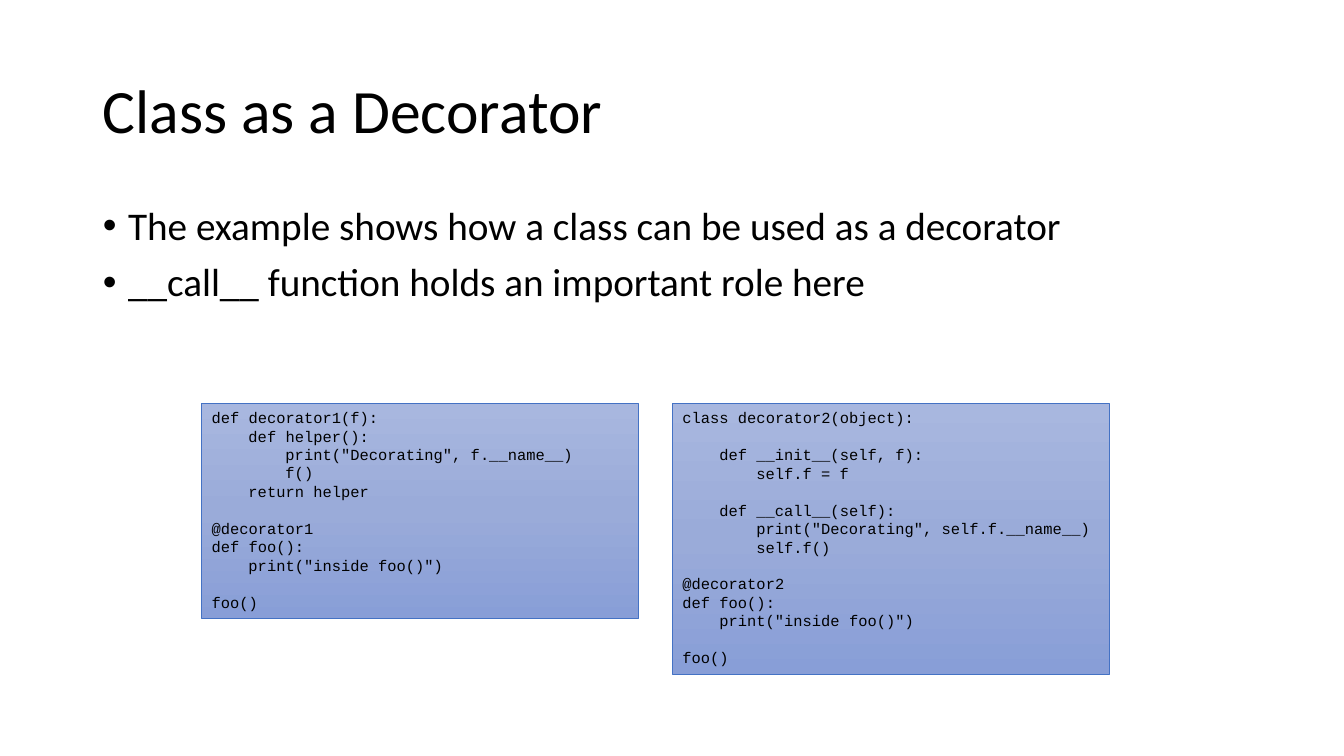
from copy import deepcopy

from pptx import Presentation
from pptx.dml.color import RGBColor
from pptx.enum.shapes import MSO_SHAPE
from pptx.enum.text import MSO_ANCHOR, MSO_AUTO_SIZE, PP_ALIGN
from pptx.util import Inches, Pt

BLACK = "000000"
PANEL_EDGE = "4472C4"
PANEL_GRADIENT = [(0, "A8B7DF"), (0.5, "9AABD9"), (1, "889ED7")]
CODE_SIZE = 11
CODE_LINE = 13.2  # points per line of code
CODE_INDENT = 0.6 * CODE_SIZE  # points per character
PANEL_TOP, PANEL_WIDTH = 4, 4.33

POINTS = [
    "The example shows how a class can be used as a decorator",
    "__call__ function holds an important role here",
]

FUNCTION_CODE = """\
def decorator1(f):
    def helper():
        print("Decorating", f.__name__)
        f()
    return helper

@decorator1
def foo():
    print("inside foo()")

foo()"""

CLASS_CODE = """\
class decorator2(object):

    def __init__(self, f):
        self.f = f

    def __call__(self):
        print("Decorating", self.f.__name__)
        self.f()

@decorator2
def foo():
    print("inside foo()")

foo()"""


def rgb(hex_code):
    return RGBColor.from_string(hex_code)


def apply(target, formats):
    for name, value in formats.items():
        setattr(target, name, value)


def place(shape, left, top, width, height):
    apply(shape, {"left": Inches(left), "top": Inches(top),
                  "width": Inches(width), "height": Inches(height)})


def write(paragraph, text, size, font, **formats):
    run = paragraph.add_run()
    run.text = text
    apply(run.font, {"size": Pt(size), "name": font})
    run.font.color.rgb = rgb(BLACK)
    apply(paragraph, {"alignment": PP_ALIGN.LEFT, **formats})


def paragraphs(frame, count):
    """Return the frame's first paragraph and as many new ones as are needed."""
    return [frame.paragraphs[0]] + [frame.add_paragraph() for _ in range(count - 1)]


def fill_title(title, text):
    place(title, 0.92, 0.4, 11.5, 1.45)
    title.text_frame.vertical_anchor = MSO_ANCHOR.MIDDLE
    write(title.text_frame.paragraphs[0], text, 44, "Calibri", line_spacing=0.9)


def fill_bullets(body, points):
    place(body, 0.92, 2, 11.5, 4.76)
    for paragraph, point in zip(paragraphs(body.text_frame, len(points)), points):
        write(paragraph, point, 28, "Calibri", line_spacing=0.9, space_before=Pt(10))
        properties = paragraph._p.get_or_add_pPr()
        properties.set("marL", str(Inches(0.25)))
        properties.set("indent", str(Inches(-0.25)))


def shade(panel):
    """Give the panel its vertical three-stop gradient."""
    panel.fill.gradient()
    panel.fill.gradient_angle = 270
    stop_list = panel._element.spPr.find(".//{*}gsLst")
    stop_list.append(deepcopy(stop_list[-1]))
    for stop, (position, colour) in zip(panel.fill.gradient_stops, PANEL_GRADIENT):
        stop.position = position
        stop.color.rgb = rgb(colour)


def write_code(frame, code):
    """Turn leading spaces into indents and empty lines into space before."""
    lines = code.splitlines()
    code_lines = [line for line in lines if line]
    after_gap = {number + 1 for number, line in enumerate(lines) if not line}
    numbers = [number for number, line in enumerate(lines) if line]
    slots = paragraphs(frame, len(code_lines))
    for paragraph, number, line in zip(slots, numbers, code_lines):
        text = line.lstrip()
        gap = CODE_LINE if number in after_gap else 0
        write(paragraph, text, CODE_SIZE, "Courier New", space_before=Pt(gap))
        indent = Pt((len(line) - len(text)) * CODE_INDENT)
        paragraph._p.get_or_add_pPr().set("marL", str(indent))


def add_code_panel(slide, left, height, code):
    panel = slide.shapes.add_shape(
        MSO_SHAPE.RECTANGLE, Inches(left), Inches(PANEL_TOP),
        Inches(PANEL_WIDTH), Inches(height))
    panel.shadow.inherit = False
    shade(panel)
    panel.line.color.rgb = rgb(PANEL_EDGE)
    panel.line.width = Pt(0.5)
    apply(panel.text_frame, {"word_wrap": True,
                             "vertical_anchor": MSO_ANCHOR.TOP,
                             "auto_size": MSO_AUTO_SIZE.SHAPE_TO_FIT_TEXT})
    write_code(panel.text_frame, code)


def main():
    deck = Presentation()
    apply(deck, {"slide_width": Inches(13.33), "slide_height": Inches(7.5)})
    slide = deck.slides.add_slide(deck.slide_layouts.get_by_name("Title and Content"))
    fill_title(slide.shapes.title, "Class as a Decorator")
    fill_bullets(slide.placeholders[1], POINTS)
    add_code_panel(slide, 2, 2.14, FUNCTION_CODE)
    add_code_panel(slide, 6.67, 2.69, CLASS_CODE)
    deck.save("out.pptx")


if __name__ == "__main__":
    main()
